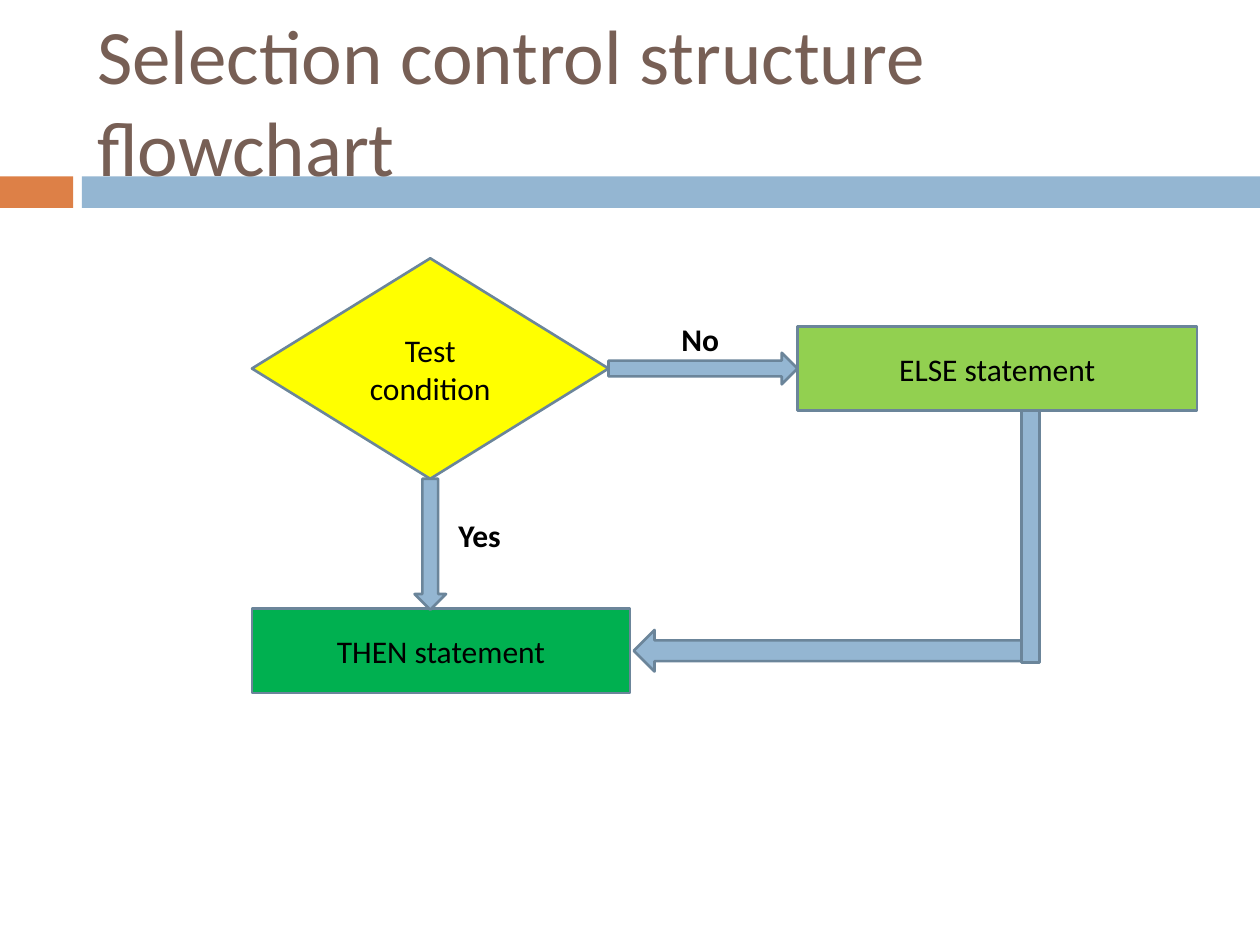
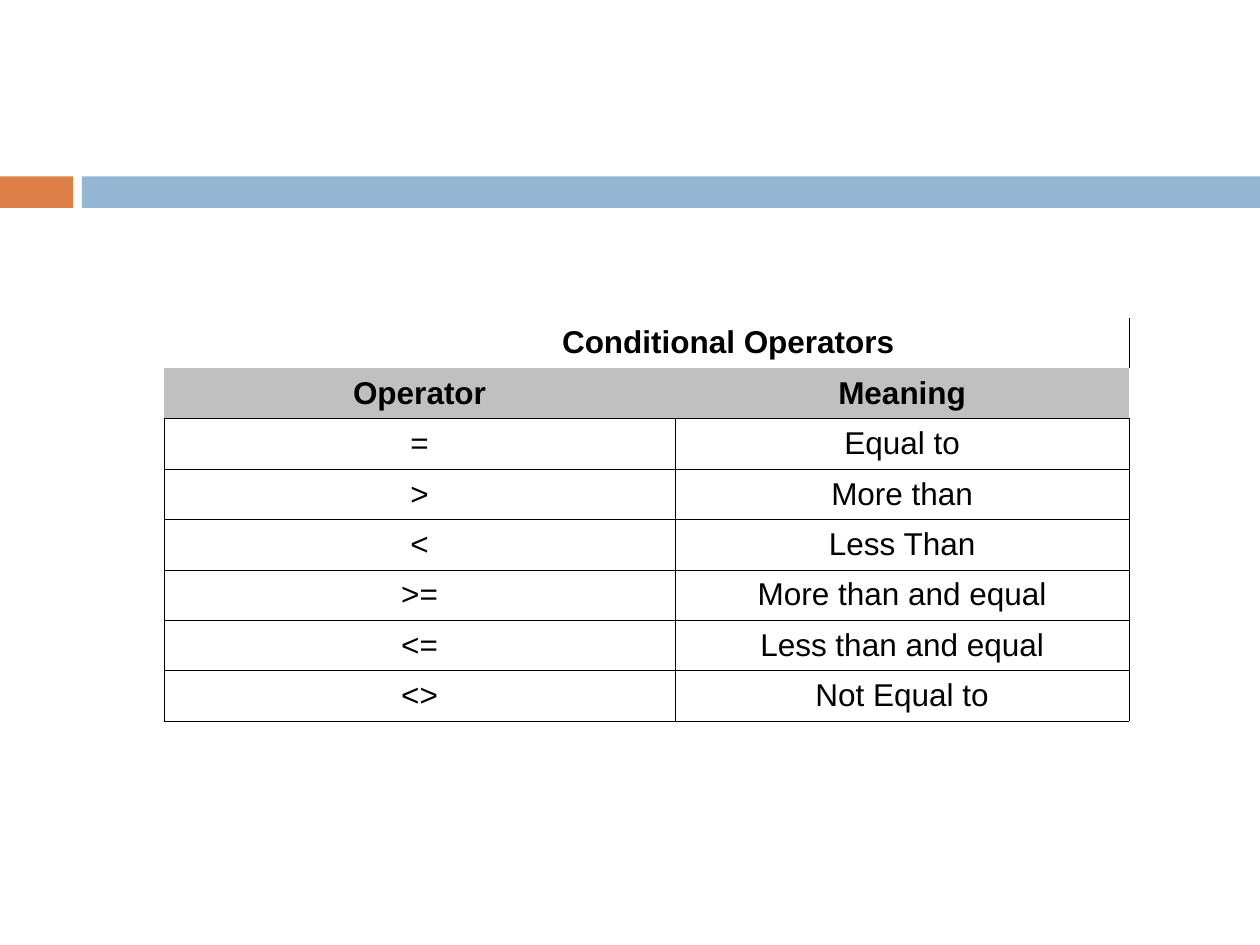
import pptx
import pptx.dml.color
import pptx.enum.shapes
import pptx.enum.text
import pptx.oxml
import pptx.oxml.ns
import pptx.util
from dataclasses import dataclass

Inches = pptx.util.Inches
Pt = pptx.util.Pt
Kind = pptx.enum.shapes.MSO_SHAPE
Align = pptx.enum.text.PP_ALIGN
Anchor = pptx.enum.text.MSO_ANCHOR
Fit = pptx.enum.text.MSO_AUTO_SIZE


@dataclass(frozen=True)
class Theme:
    orange: str = "DD8047"
    blue: str = "94B6D2"
    edge: str = "6B859A"
    brown: str = "775F55"
    yellow: str = "FFFF00"
    green: str = "00B050"
    lime: str = "92D050"
    gray: str = "C0C0C0"
    white: str = "FFFFFF"
    black: str = "000000"
    sans: str = "Calibri"
    grid: str = "Arial"
    head: int = 44
    body: int = 18
    line: float = 1.5
    rule: float = 0.34


def rgb(code):
    return pptx.dml.color.RGBColor.from_string(code)


def apply(item, values):
    for name, value in values.items():
        setattr(item, name, value)


class Deck:
    def __init__(self, theme):
        self.theme = theme
        self.file = pptx.Presentation()
        apply(self.file, {"slide_width": Inches(10), "slide_height": Inches(7.5)})
        self.slide = None

    def page(self, title=None):
        layout = self.file.slide_layouts[5 if title else 6]
        self.slide = self.file.slides.add_slide(layout)
        self.shape(Kind.RECTANGLE, (0, 1.4, 0.58, 0.25), self.theme.orange, edge=False)
        self.shape(Kind.RECTANGLE, (0.65, 1.4, 9.35, 0.25), self.theme.blue, edge=False)
        if title:
            self.title(title)

    def title(self, text):
        box = self.slide.shapes.title
        box.element.getparent().append(box.element)
        place = map(Inches, (0.67, 0.25, 8.92, 1.08))
        apply(box, dict(zip(("left", "top", "width", "height"), place)))
        apply(box.text_frame, {"auto_size": Fit.NONE, "word_wrap": True,
                               "vertical_anchor": Anchor.MIDDLE})
        self.words(box.text_frame, text, Align.LEFT,
                   size=Pt(self.theme.head), color=self.theme.brown)

    def words(self, frame, text, align, color=None, **style):
        frame.text = text
        para = frame.paragraphs[0]
        para.alignment = align
        values = {"name": self.theme.sans, "size": Pt(self.theme.body), "bold": False}
        apply(para.font, values | style)
        para.font.color.rgb = rgb(color or self.theme.black)

    def shape(self, kind, place, fill, text=None, edge=True):
        item = self.slide.shapes.add_shape(kind, *map(Inches, place))
        item.shadow.inherit = False
        item.fill.solid()
        item.fill.fore_color.rgb = rgb(fill)
        if edge:
            item.line.color.rgb = rgb(self.theme.edge)
            item.line.width = Pt(self.theme.line)
        else:
            item.line.fill.background()
        if text:
            apply(item.text_frame, {"word_wrap": True, "vertical_anchor": Anchor.MIDDLE})
            self.words(item.text_frame, text, Align.CENTER)

    def label(self, text, left, top):
        box = self.slide.shapes.add_textbox(*map(Inches, (left, top, 0.55, 0.4)))
        apply(box.text_frame, {"word_wrap": False, "auto_size": Fit.SHAPE_TO_FIT_TEXT})
        self.words(box.text_frame, text, Align.LEFT, bold=True)

    def cell(self, cell, text, fill, sides, bold):
        props = cell._tc.get_or_add_tcPr()
        for side in "LRTB":
            paint = "<a:noFill/>"
            if side in sides:
                paint = f'<a:solidFill><a:srgbClr val="{self.theme.black}"/></a:solidFill>'
            props.append(pptx.oxml.parse_xml(
                f'<a:ln{side} {pptx.oxml.ns.nsdecls("a")} w="{Pt(self.theme.rule)}">'
                f"{paint}</a:ln{side}>"))
        if fill:
            cell.fill.solid()
            cell.fill.fore_color.rgb = rgb(fill)
        else:
            cell.fill.background()
        cell.vertical_anchor = Anchor.MIDDLE
        self.words(cell.text_frame, text, Align.CENTER, name=self.theme.grid, bold=bold)

    def table(self, title, heads, rows, left, top, widths, high):
        lines = [(title, ""), heads, *rows]
        frame = self.slide.shapes.add_table(
            len(lines), len(widths), Inches(left), Inches(top),
            Inches(sum(widths)), Inches(high * len(lines)))
        table = frame.table
        apply(table, {"first_row": False, "horz_banding": False})
        for col, width in zip(table.columns, widths):
            col.width = Inches(width)
        looks = [(None, "R", True), (self.theme.gray, "B", True)]
        looks += [(self.theme.white, "LRTB", False)] * len(rows)
        for row, line, look in zip(table.rows, lines, looks):
            row.height = Inches(high)
            for cell, text in zip(row.cells, line):
                self.cell(cell, text, *look)
        first = table.cell(0, 0)
        first.merge(table.cell(0, len(widths) - 1))
        first.margin_left = Inches(1.4)


def flow(deck):
    theme = deck.theme
    deck.page("Selection control structure flowchart")
    step = Kind.FLOWCHART_PROCESS
    deck.shape(Kind.FLOWCHART_DECISION, (2, 2.05, 2.83, 1.75), theme.yellow, "Test condition")
    deck.shape(step, (2, 4.83, 3, 0.67), theme.green, "THEN statement")
    deck.shape(step, (6.33, 2.59, 3.17, 0.67), theme.lime, "ELSE statement")
    for kind, place in (
        (Kind.RIGHT_ARROW, (4.83, 2.8, 1.5, 0.25)),
        (Kind.DOWN_ARROW, (3.29, 3.8, 0.25, 1.04)),
        (Kind.LEFT_ARROW, (5.03, 5, 3.08, 0.33)),
        (step, (8.11, 3.26, 0.14, 2)),
    ):
        deck.shape(kind, place, theme.blue)
    deck.label("No", 5.31, 2.49)
    deck.label("Yes", 3.54, 4.05)


def signs(deck):
    deck.page()
    rows = [
        ("=", "Equal to"),
        (">", "More than"),
        ("<", "Less Than"),
        (">=", "More than and equal"),
        ("<=", "Less than and equal"),
        ("<>", "Not Equal to"),
    ]
    deck.table("Conditional Operators", ("Operator", "Meaning"), rows,
               1.3, 2.52, (4.06, 3.6), 0.4)


def main():
    deck = Deck(Theme())
    flow(deck)
    signs(deck)
    deck.file.save("out.pptx")


if __name__ == "__main__":
    main()
